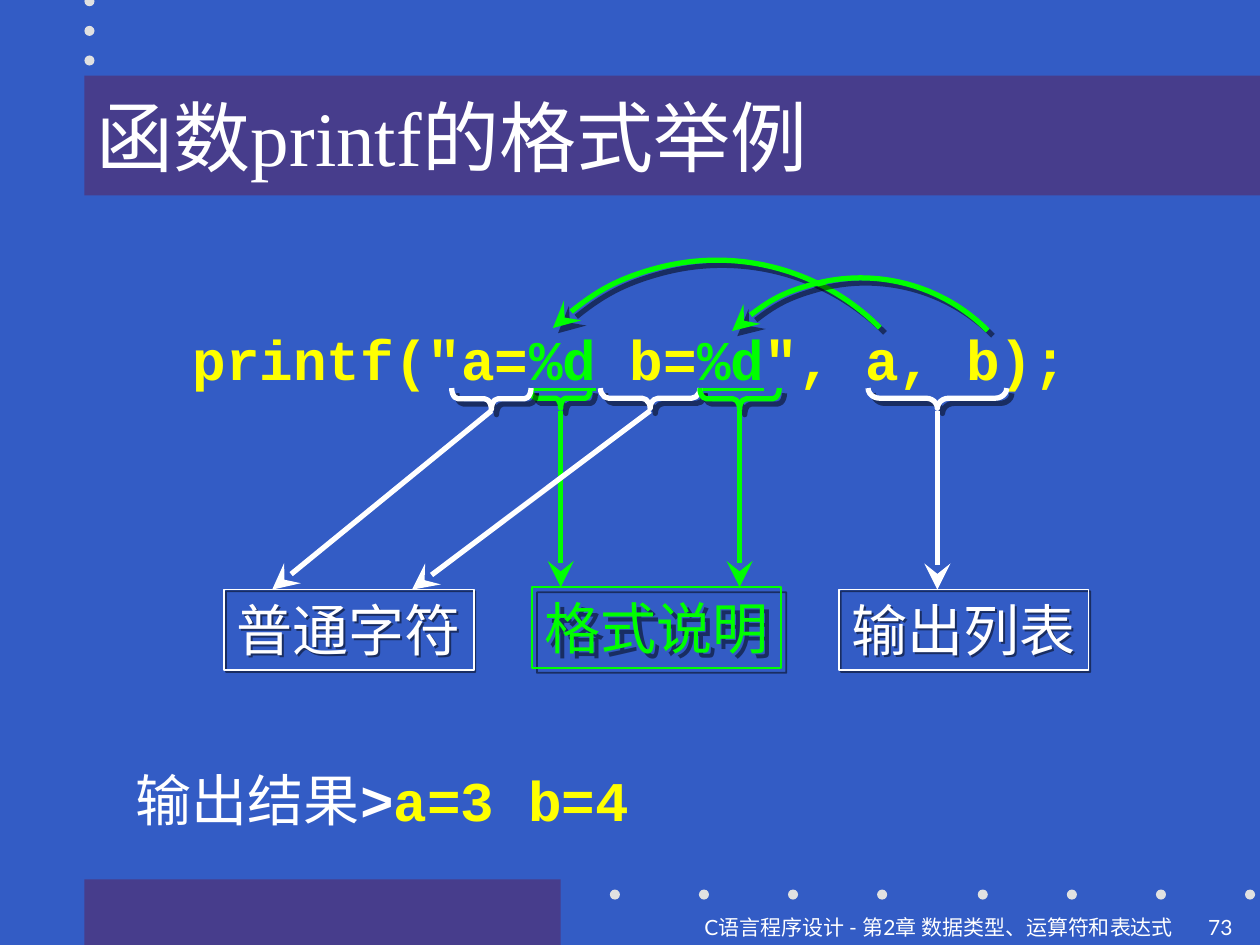
"""Build the slide that explains the format string of printf."""
from lxml.etree import SubElement
from pptx import Presentation
from pptx.dml.color import RGBColor
from pptx.enum.shapes import MSO_CONNECTOR, MSO_SHAPE
from pptx.enum.text import MSO_ANCHOR, MSO_AUTO_SIZE, PP_ALIGN
from pptx.oxml.ns import qn
from pptx.util import Inches, Pt

BLUE, PURPLE, GREY = "335CC5", "473D8C", "E1E1E1"
WHITE, YELLOW, GREEN = "FFFFFF", "FFFF00", "00FF00"
color = RGBColor.from_string


def add_figure(kind, box, fill=None, line=None, width=3, shadow=None):
    shape = slide.shapes.add_shape(kind, *map(Inches, box))
    if fill:
        shape.fill.solid()
        shape.fill.fore_color.rgb = color(fill)
    else:
        shape.fill.background()
    if line:
        shape.line.color.rgb = color(line)
        shape.line.width = Pt(width)
    else:
        shape.line.fill.background()
    shape.shadow.inherit = False
    if shadow:
        effects = shape.element.spPr.find(qn("a:effectLst"))
        outer = SubElement(effects, qn("a:outerShdw"), dist=str(Pt(shadow)),
                           dir="2700000", algn="ctr", rotWithShape="0")
        black = SubElement(outer, qn("a:srgbClr"), val="000000")
        SubElement(black, qn("a:alpha"), val="50000")
    return shape


def write(shape, runs, size, name, align=PP_ALIGN.LEFT, anchor=MSO_ANCHOR.TOP, wrap=True):
    frame = shape.text_frame
    frame.word_wrap = wrap
    frame.auto_size = MSO_AUTO_SIZE.NONE
    frame.vertical_anchor = anchor
    paragraph = frame.paragraphs[0]
    paragraph.alignment = align
    for text, text_color, bold, underline in runs:
        run = paragraph.add_run()
        run.text = text
        run.font.size = Pt(size)
        run.font.name = name
        run.font.bold = bold
        run.font.underline = underline
        run.font.color.rgb = color(text_color)


presentation = Presentation()
presentation.slide_width, presentation.slide_height = Inches(10), Inches(7.5)
slide = presentation.slides.add_slide(presentation.slide_layouts[6])
slide.background.fill.solid()
slide.background.fill.fore_color.rgb = color(BLUE)

add_figure(MSO_SHAPE.RECTANGLE, (0.67, 6.98, 3.78, 0.52), fill=PURPLE)
dots = [(0.67, -0.03 + 0.235 * row) for row in range(3)]
dots += [(start + 0.707 * column, 7.06) for start in (4.84, 7.76) for column in range(4)]
for left, top in dots:
    add_figure(MSO_SHAPE.OVAL, (left, top, 0.08, 0.08), fill=GREY)

title = add_figure(MSO_SHAPE.RECTANGLE, (0.67, 0.6, 9.33, 0.95), fill=PURPLE)
write(title, [("函数printf的格式举例", WHITE, False, False)], 44, "Times New Roman",
      anchor=MSO_ANCHOR.MIDDLE)

statement = slide.shapes.add_textbox(Inches(0), Inches(2.53), Inches(10), Inches(0.64))
write(statement, [
    ('printf("a=', YELLOW, True, False),
    ("%d", GREEN, True, True),
    (" b=", YELLOW, True, False),
    ("%d", GREEN, True, True),
    ('", a, b);', YELLOW, True, False),
], 32, "Courier New", PP_ALIGN.CENTER)

for center, length, depth, line in [
    (7.44, 1.1, 0.16, WHITE),
    (4.45, 0.47, 0.16, GREEN),
    (5.16, 0.79, 0.16, WHITE),
    (3.9, 0.63, 0.17, WHITE),
    (5.87, 0.63, 0.17, GREEN),
]:
    box = (center - depth / 2, 3.08 + depth / 2 - length / 2, depth, length)
    brace = add_figure(MSO_SHAPE.LEFT_BRACE, box, line=line, shadow=4.2)
    brace.adjustments[0] = length / 12 / depth
    brace.rotation = 270

for label, left, top, line, shadow, arrows in [
    ("格式说明", 4.22, 4.66, GREEN, 4.2, [(4.45, 4.45), (5.87, 5.87)]),
    ("普通字符", 1.78, 4.68, WHITE, 1.4, [(3.9, 2.16), (5.16, 3.27)]),
    ("输出列表", 6.66, 4.68, WHITE, 1.4, [(7.44, 7.44)]),
]:
    box = add_figure(MSO_SHAPE.RECTANGLE, (left, top, 1.98, 0.64), line=line, width=1,
                     shadow=shadow)
    write(box, [(label, line, False, False)], 32, "Arial", wrap=False)
    for start, end in arrows:
        arrow = slide.shapes.add_connector(MSO_CONNECTOR.STRAIGHT, Inches(start), Inches(3.26),
                                           Inches(end), Inches(top))
        arrow.line.color.rgb = color(line)
        arrow.line.width = Pt(3)
        properties = arrow.element.spPr
        SubElement(properties.find(qn("a:ln")), qn("a:tailEnd"), type="stealth", w="lg", len="lg")
        SubElement(properties, qn("a:effectLst"))

for box in [(3.84, 2.07, 3.68, 3.66), (5.38, 2.21, 2.88, 2.86)]:
    arc = add_figure(MSO_SHAPE.ARC, box, line=GREEN, shadow=4.2)
    arc.rotation = 315.1
    SubElement(arc.element.spPr.find(qn("a:ln")), qn("a:headEnd"), type="stealth", w="lg", len="lg")

result = slide.shapes.add_textbox(Inches(0.98), Inches(6.03), Inches(7.32), Inches(0.64))
write(result, [
    ("输出结果", WHITE, False, False),
    (">", WHITE, True, False),
    ("a=3 b=4", YELLOW, True, False),
], 32, "Courier New")

for text, left, width, align in [
    ("C语言程序设计 - 第2章 数据类型、运算符和表达式", 0, 9.41, PP_ALIGN.RIGHT),
    ("73", 9.49, 0.51, PP_ALIGN.LEFT),
]:
    footer = slide.shapes.add_textbox(Inches(left), Inches(7.21), Inches(width), Inches(0.28))
    write(footer, [(text, WHITE, False, False)], 12, "Lato", align)

presentation.save("out.pptx")
